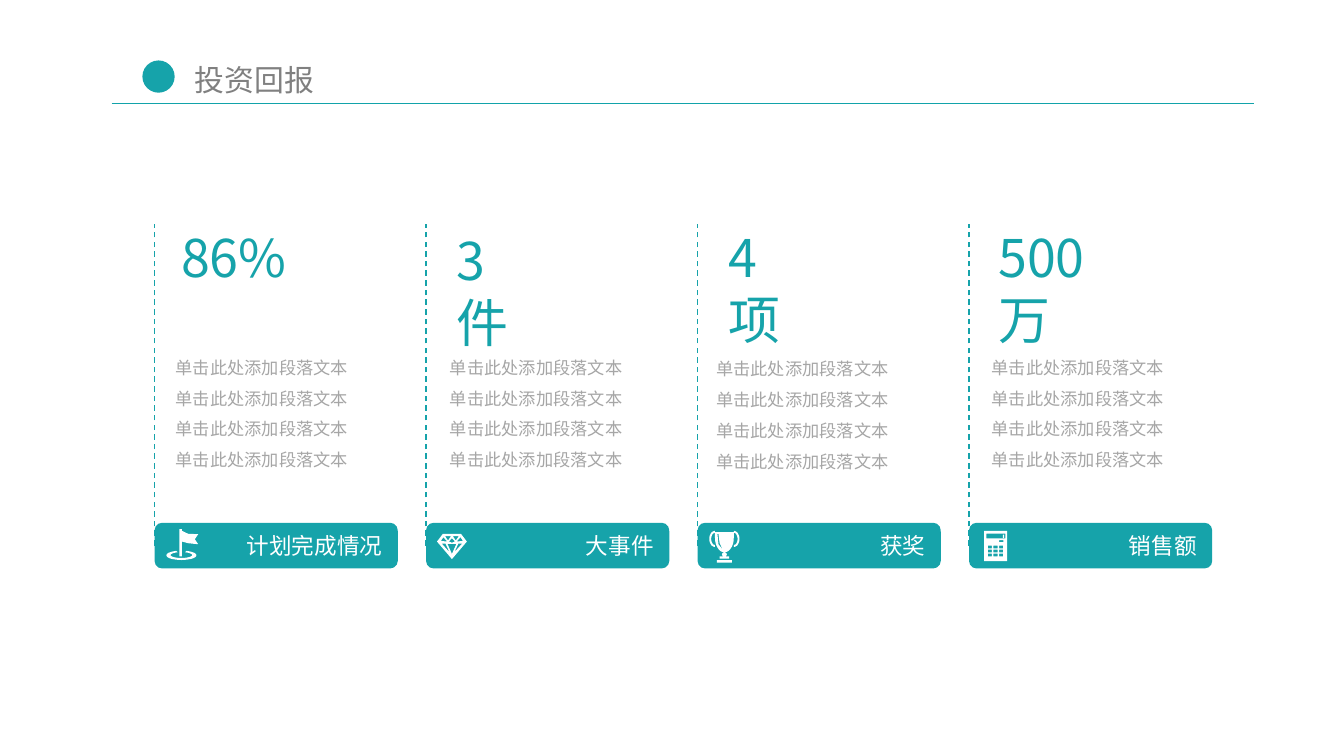
from math import cos, radians, sin

from lxml.etree import SubElement
from pptx import Presentation
from pptx.dml.color import RGBColor
from pptx.enum.dml import MSO_LINE
from pptx.enum.shapes import MSO_CONNECTOR, MSO_SHAPE
from pptx.enum.text import MSO_ANCHOR, PP_ALIGN
from pptx.oxml.ns import qn
from pptx.util import Pt

PX = 9144
ICON_UNIT = PX / 10
THEME = {
    "font": "Noto Sans CJK SC",
    "teal": RGBColor.from_string("16A3AA"),
    "rule": RGBColor.from_string("12A3AA"),
    "white": RGBColor.from_string("FFFFFF"),
    "title": {"size": Pt(16), "color": RGBColor.from_string("808080")},
    "figure": {"size": Pt(27.8), "color": RGBColor.from_string("16A3AA")},
    "body": {"size": Pt(9.2), "color": RGBColor.from_string("A6A6A6")},
    "label": {"size": Pt(12.1), "color": RGBColor.from_string("FFFFFF")},
}


def px(*lengths):
    """Turn px lengths into EMU."""
    return [length * PX for length in lengths]


def rect(x, y, width, height):
    """Return the corners of a rectangle."""
    return [(x, y), (x + width, y), (x + width, y + height), (x, y + height)]


def arc(cx, cy, rx, ry, start=0, end=360, steps=24):
    """Return points along an elliptical arc, clockwise from the right."""
    angles = [radians(start + (end - start) * step / steps) for step in range(steps + 1)]
    return [(round(cx + rx * cos(a)), round(cy + ry * sin(a))) for a in angles]


def mirrored(axis, contours):
    """Return the contours together with their reflections about a vertical axis."""
    return contours + [[(2 * axis - x, y) for x, y in contour] for contour in contours]


def flag_icon():
    """Return the contours of a flag in a ring."""
    banner = [(186, 48), (204, 48), (204, 60), (250, 82), (325, 85), (300, 122),
              (325, 160), (250, 152), (204, 140), (204, 250), (186, 250)]
    ring = arc(200, 242, 112, 35, -70, 250) + arc(200, 240, 80, 22, 250, -70)
    return [banner, ring]


def diamond_icon():
    """Return the contours of a cut diamond."""
    outline = [(193, 270), (82, 140), (125, 83), (261, 83), (304, 140)]
    middle = [[(160, 158), (226, 158), (193, 232)],
              [(193, 115), (170, 140), (193, 148), (216, 140)]]
    facets = [[(145, 155), (117, 155), (175, 220)],
              [(110, 135), (130, 108), (158, 140)],
              [(142, 100), (186, 100), (164, 132)]]
    return [outline] + middle + mirrored(193, facets)


def trophy_icon():
    """Return the contours of a trophy cup on its base."""
    cup = [(130, 70), (270, 70)] + arc(200, 110, 70, 110, 0, 180)
    shine = [(148, 82), (156, 82), (164, 150), (188, 202), (156, 160)]
    handle = arc(130, 120, 42, 60, 90, 270) + arc(130, 120, 28, 45, 270, 90)
    base = [arc(200, 236, 18, 14), rect(165, 250, 70, 18), rect(145, 278, 110, 18)]
    return [cup, shine] + mirrored(200, [handle]) + base


def calculator_icon():
    """Return the contours of a pocket calculator."""
    keys = [rect(x, y, 30, 20) for y in (170, 200, 230) for x in (140, 182, 224)]
    screen = [rect(130, 82, 140, 35), rect(252, 88, 10, 24)]
    return [rect(112, 60, 172, 225)] + screen + [rect(224, 130, 32, 14)] + keys


CARDS = [
    {"figure": "86%", "label": "计划完成情况", "icon": flag_icon,
     "figure_box": (10, -4, 120, 57), "body_box": (6, 86, 174, 103)},
    {"figure": "3件", "label": "大事件", "icon": diamond_icon,
     "figure_box": (13, -2, 82, 57), "body_box": (8, 86, 174, 103)},
    {"figure": "4项", "label": "获奖", "icon": trophy_icon,
     "figure_box": (13, -4, 82, 57), "body_box": (4, 87, 174, 103)},
    {"figure": "500万", "label": "销售额", "icon": calculator_icon,
     "figure_box": (12, -4, 127, 57), "body_box": (7, 86, 174, 103)},
]


def write(frame, lines, style, **paragraph_format):
    """Fill a text frame with paragraphs in one theme style."""
    frame.word_wrap = True
    frame.text = "\n".join(lines)
    for paragraph in frame.paragraphs:
        for name, value in paragraph_format.items():
            setattr(paragraph, name, value)
        for run in paragraph.runs:
            for name, value in {"name": THEME["font"], "size": style["size"]}.items():
                setattr(run.font, name, value)
            run.font.color.rgb = style["color"]


def add_text(slide, box, lines, style, margins=None, **paragraph_format):
    """Place a text box with optional margins."""
    frame = slide.shapes.add_textbox(*px(*box)).text_frame
    for side, length in (margins or {}).items():
        setattr(frame, f"margin_{side}", length * PX)
    write(frame, lines, style, **paragraph_format)


def fill_shape(shape, color):
    """Give a shape a flat fill with no outline or shadow."""
    shape.shadow.inherit = False
    shape.fill.solid()
    shape.fill.fore_color.rgb = color
    shape.line.fill.background()


def draw_line(slide, start, end, color, dash=None):
    """Draw a thin straight line."""
    line = slide.shapes.add_connector(MSO_CONNECTOR.STRAIGHT, *px(*start, *end))
    line.line.color.rgb = color
    for name, value in {"width": Pt(0.75), "dash_style": dash}.items():
        setattr(line.line, name, value)
    SubElement(line._element.spPr, qn("a:effectLst"))


def draw_icon(slide, left, top, contours):
    """Draw white contours as one freeform at the given corner."""
    first, *others = contours
    builder = slide.shapes.build_freeform(*first[0], scale=ICON_UNIT)
    builder.add_line_segments(first[1:], close=True)
    for contour in others:
        builder.move_to(*contour[0])
        builder.add_line_segments(contour[1:], close=True)
    fill_shape(builder.convert_to_shape(*px(left, top)), THEME["white"])


def add_header(slide, left, top, width, height, title):
    """Place the dot, title and rule of the slide heading."""
    margins = {"left": 7, "right": 7, "top": 4, "bottom": 4}
    add_text(slide, (left + 55, top, 196, height - 1), [title], THEME["title"], margins)
    bottom = top + height
    draw_line(slide, (left, bottom), (left + width, bottom), THEME["rule"])
    dot = slide.shapes.add_shape(MSO_SHAPE.OVAL, *px(left + 23, top + 3, 24, 24))
    fill_shape(dot, THEME["teal"])


def add_card(slide, left, top, width, height, card):
    """Place one result card: dashed edge, figure, text and label bar."""
    draw_line(slide, (left, top + height - 17), (left, top), THEME["teal"], MSO_LINE.DASH)

    dx, dy, *size = card["figure_box"]
    add_text(slide, (left + dx, top + dy, *size), [card["figure"]], THEME["figure"],
             {"right": 30})
    dx, dy, *size = card["body_box"]
    add_text(slide, (left + dx, top + dy, *size), ["单击此处添加段落文本"] * 4,
             THEME["body"], line_spacing=1.5)

    bar_top = top + height - 34
    bar = slide.shapes.add_shape(MSO_SHAPE.ROUNDED_RECTANGLE, *px(left, bar_top, width, 34))
    fill_shape(bar, THEME["teal"])
    bar.text_frame.vertical_anchor = MSO_ANCHOR.MIDDLE
    write(bar.text_frame, [card["label"]], THEME["label"], alignment=PP_ALIGN.RIGHT)
    draw_icon(slide, left, bar_top, card["icon"]())


def main():
    """Build the investment return slide."""
    deck = Presentation()
    deck.slide_width = 1000 * PX
    deck.slide_height = deck.slide_width * 9 // 16
    slide = deck.slides.add_slide(deck.slide_layouts[6])
    add_header(slide, 83, 42, 850, 35, "投资回报")
    for column, card in enumerate(CARDS):
        add_card(slide, 115 + 202 * column, 167, 181, 256, card)
    deck.save("out.pptx")


if __name__ == "__main__":
    main()
